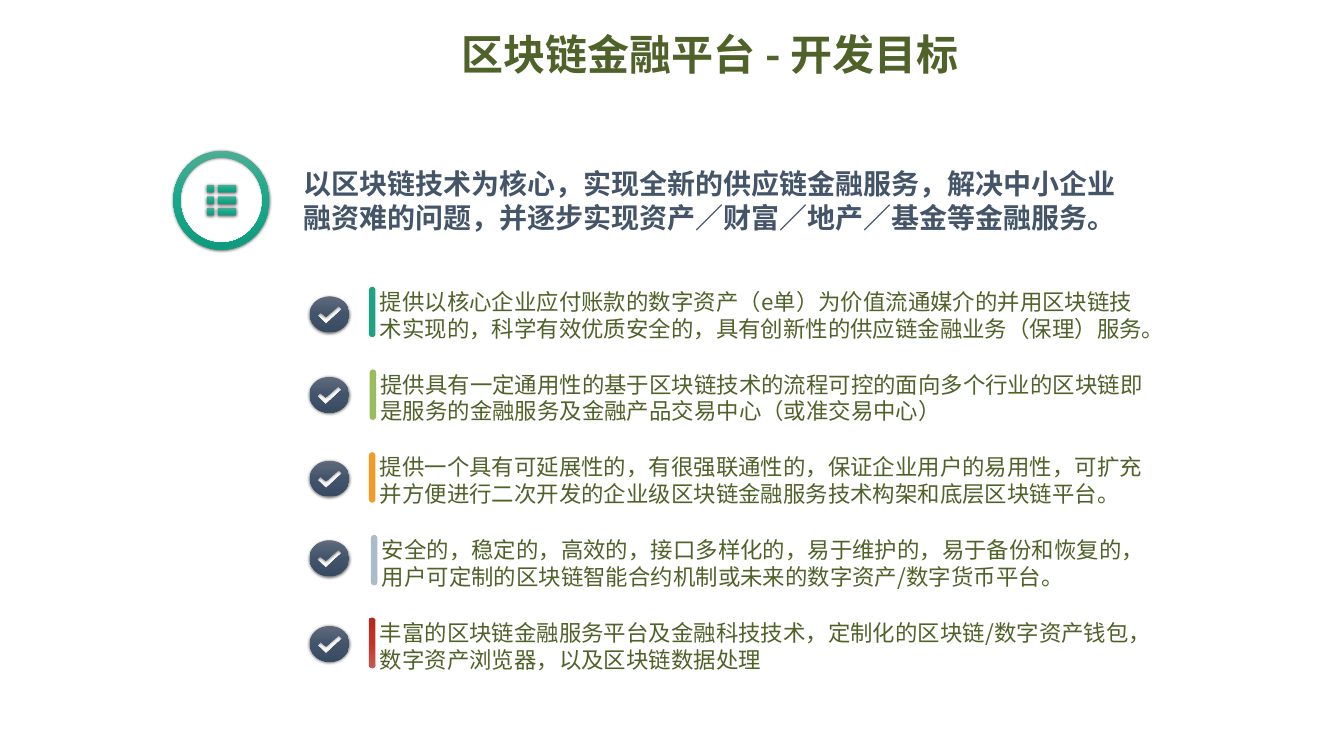
from copy import deepcopy
from math import cos, pi, sin

from lxml import etree
from pptx import Presentation
from pptx.dml.color import RGBColor
from pptx.enum.shapes import MSO_SHAPE
from pptx.enum.text import MSO_ANCHOR, PP_ALIGN
from pptx.oxml.ns import qn
from pptx.util import Cm, Pt

BAR = MSO_SHAPE.ROUND_2_SAME_RECTANGLE
RING = MSO_SHAPE.DONUT
TILE = MSO_SHAPE.ROUNDED_RECTANGLE
TOP, MIDDLE = MSO_ANCHOR.TOP, MSO_ANCHOR.MIDDLE
LEFT, CENTER = PP_ALIGN.LEFT, PP_ALIGN.CENTER

FONT = "Noto Sans CJK SC"
OLIVE, NAVY = "4F6229", "445469"
GREENS = ["4EAD94", "17A889", "0F9B7D"]
SLATES = ["606B7C", "42546B", "394A61"]
REDS = ["C75954", "C43328", "B5281D"]

TITLE = "区块链金融平台 - 开发目标"
LEAD = ("以区块链技术为核心，实现全新的供应链金融服务，解决中小企业融资难的问题，"
        "并逐步实现资产／财富／地产／基金等金融服务。")

# Goals: text, bar fill, text left, disc left, disc top
GOALS = [
    ("提供以核心企业应付账款的数字资产（e单）为价值流通媒介的并用区块链技术实现的，"
     "科学有效优质安全的，具有创新性的供应链金融业务（保理）服务。",
     ["1EA185"], 18.54, 15.62, 14.94),
    ("提供具有一定通用性的基于区块链技术的流程可控的面向多个行业的区块链即"
     "是服务的金融服务及金融产品交易中心（或准交易中心）",
     ["9BBB5C"], 18.57, 15.6, 19),
    ("提供一个具有可延展性的，有很强联通性的，保证企业用户的易用性，可扩充"
     "并方便进行二次开发的企业级区块链金融服务技术构架和底层区块链平台。",
     ["F29B26"], 18.54, 15.62, 23.22),
    ("安全的，稳定的，高效的，接口多样化的，易于维护的，易于备份和恢复的，"
     "用户可定制的区块链智能合约机制或未来的数字资产/数字货币平台。",
     ["ADBACA"], 18.64, 15.6, 27.23),
    ("丰富的区块链金融服务平台及金融科技技术，定制化的区块链/数字资产钱包，"
     "数字资产浏览器，以及区块链数据处理",
     REDS, 18.54, 15.62, 31.55),
]
ROW_TOP, ROW_STEP = 14.2, 4.17

# Disc size and the tick cut out of it
DISC_W, DISC_H = 1.98, 1.8
TICK = [(0.81, 1.4), (0.36, 0.97), (0.53, 0.79),
        (0.81, 1.02), (1.45, 0.46), (1.63, 0.64)]


def color(code):
    return RGBColor.from_string(code)


def paint(shape, fills, line=None):
    """Fill with one color, or with a three-step gradient from top to bottom."""
    shape.shadow.inherit = False
    if len(fills) == 1:
        shape.fill.solid()
        shape.fill.fore_color.rgb = color(fills[0])
    else:
        shape.fill.gradient()
        shape.fill.gradient_angle = 270
        first = shape.fill._fill._gradFill.gsLst[0]
        first.addnext(deepcopy(first))
        for i, (stop, code) in enumerate(zip(shape.fill.gradient_stops, fills)):
            stop.position = i / 2
            stop.color.rgb = color(code)
    if line:
        shape.line.color.rgb = color(line)
        shape.line.width = Pt(0.5)
    else:
        shape.line.fill.background()


def shade(shape):
    """Add a soft shadow below the shape."""
    list_el = shape._element.spPr.find(qn("a:effectLst"))
    cast = etree.SubElement(list_el, qn("a:outerShdw"), blurRad=str(Pt(4.5)),
                            dist=str(Pt(1.5)), dir="5400000", rotWithShape="0")
    black = etree.SubElement(cast, qn("a:srgbClr"), val="000000")
    etree.SubElement(black, qn("a:alpha"), val="63000")


def add_form(slide, kind, box, adjs, fills, line=None):
    shape = slide.shapes.add_shape(kind, *[Cm(v) for v in box])
    for i, value in enumerate(adjs):
        shape.adjustments[i] = value
    paint(shape, fills, line)
    return shape


def set_text(shape, text, size, code, bold=False, align=LEFT, anchor=TOP, pad=1):
    frame = shape.text_frame
    frame.word_wrap = True
    frame.vertical_anchor = anchor
    frame.margin_left = frame.margin_right = Cm(0.25 * pad)
    frame.margin_top = frame.margin_bottom = Cm(0.13 * pad)
    frame.text = text
    para = frame.paragraphs[0]
    para.alignment = align
    if anchor == TOP:
        para.line_spacing = Pt(1.2 * size)
    font = para.runs[0].font
    font.size, font.bold, font.name = Pt(size), bold, FONT
    font.color.rgb = color(code)
    etree.SubElement(font._element, qn("a:ea"), typeface=FONT)


def add_text(slide, box, *args, **kwargs):
    set_text(slide.shapes.add_textbox(*[Cm(v) for v in box]), *args, **kwargs)


def add_disc(slide, left, top):
    """Draw an oval disc with a tick-shaped hole."""
    turns = [2 * pi * i / 72 for i in range(72)]
    oval = [(DISC_W / 2 * (1 + cos(t)), DISC_H / 2 * (1 + sin(t))) for t in turns]
    edge, tick = [[(Cm(x), Cm(y)) for x, y in pts] for pts in (oval, TICK)]
    pen = slide.shapes.build_freeform(*edge[0])
    pen.add_line_segments(edge[1:])
    pen.move_to(*tick[0])
    pen.add_line_segments(tick[1:])
    disc = pen.convert_to_shape(Cm(left), Cm(top))
    paint(disc, SLATES)
    shade(disc)


def add_badge(slide):
    """Draw the ring with the list icon inside."""
    shade(add_form(slide, RING, (8.74, 7.6, 4.83, 4.98), [0.07], GREENS))
    for row in range(3):
        for left, width in ((10.41, 0.38), (10.97, 0.94)):
            box = (left, 9.32 + 0.58 * row, width, 0.38)
            shade(add_form(slide, TILE, box, [0.13], GREENS))


def add_goal(slide, top, text, fills, left, disc_left, disc_top):
    add_text(slide, (left, top, 40.13, 3.35), text, 32, OLIVE, pad=2.4)
    line = "BD392F" if fills == REDS else None
    bar = add_form(slide, BAR, (left + 0.05, top + 0.25, 0.33, 2.54),
                   [0.5, 0.5], fills, line)
    bar.rotation = 180
    add_disc(slide, disc_left, disc_top)


def main():
    deck = Presentation()
    deck.slide_width, deck.slide_height = Cm(67.72), Cm(38.1)
    slide = deck.slides.add_slide(deck.slide_layouts[5])

    # Title
    title = slide.shapes.title
    title.left, title.top = Cm(16.69), Cm(1.3)
    title.width, title.height = Cm(38.15), Cm(2.82)
    set_text(title, TITLE, 60, OLIVE, True, CENTER, MIDDLE)

    # Main aim
    add_badge(slide)
    add_text(slide, (15.06, 8.26, 41.99, 3.68), LEAD, 40, NAVY, True)

    # Goals
    for i, goal in enumerate(GOALS):
        add_goal(slide, ROW_TOP + ROW_STEP * i, *goal)

    deck.save("out.pptx")


if __name__ == "__main__":
    main()
